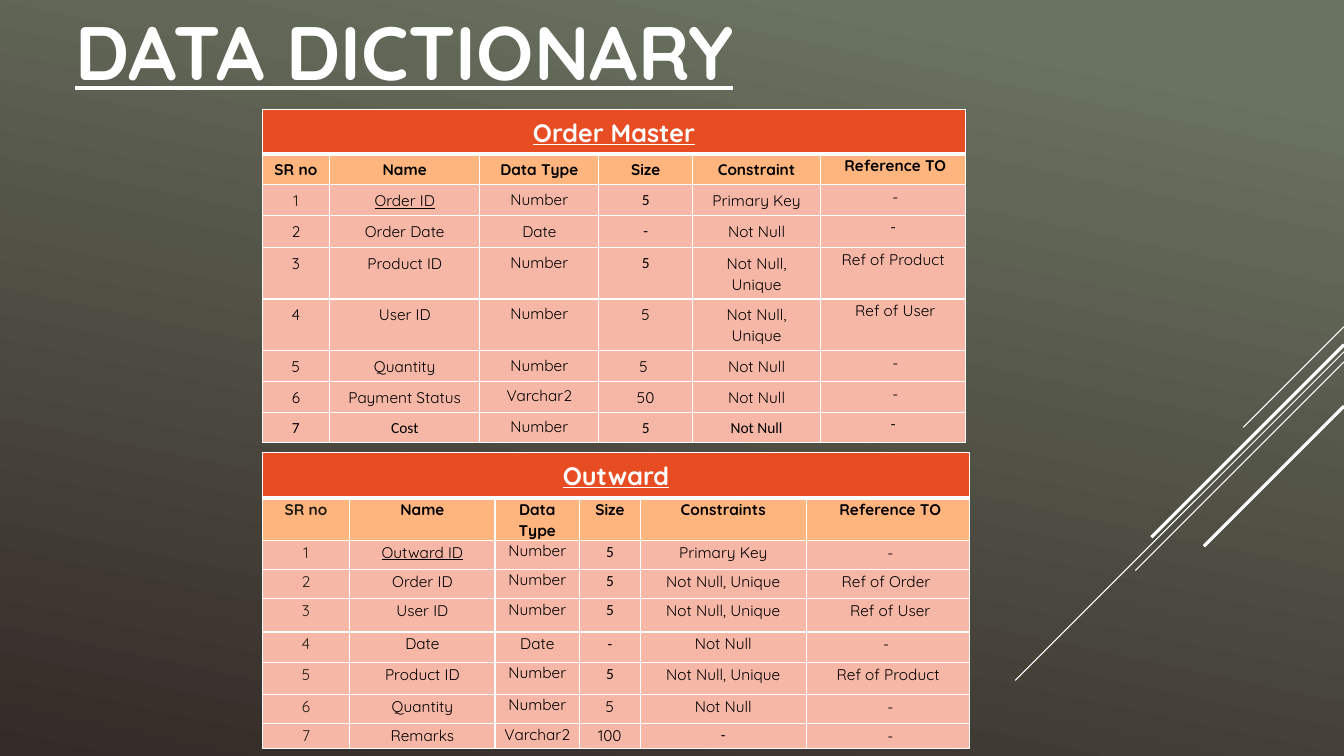
from dataclasses import dataclass

from lxml.etree import SubElement
from pptx import Presentation
from pptx.dml.color import RGBColor as RGB
from pptx.enum.shapes import MSO_CONNECTOR as CONN
from pptx.enum.text import MSO_ANCHOR as ANCHOR, PP_ALIGN as ALIGN
from pptx.oxml.ns import qn
from pptx.util import Inches, Pt


@dataclass(frozen=True)
class Theme:
    white: str = "FFFFFF"
    black: str = "000000"
    dark: str = "1E1C11"
    banner: str = "E84C22"
    header: str = "FFB57D"
    body: str = "F6B7A7"
    bg_top: str = "6A7260"
    bg_bottom: str = "342A27"
    font: str = "Quicksand"
    alt_font: str = "Calibri"
    title_size: int = 54
    banner_size: int = 18
    cell_size: int = 11


T = Theme()
SINGLE_SPACED = ("Number", "Varchar2")

# Cell marks: "_" underlines, "*" uses the alternate font, "~" is a no-break space
ORDER_MASTER = dict(
    name="Order Master",
    cols=[0.67, 1.49, 1.18, 0.93, 1.27, 1.44],
    heights=[0.39, 0.27, 0.27, 0.32, 0.46, 0.47, 0.27, 0.3, 0.3],
    banner_inset=(0.09, 0.05, 0.09, 0.05),
    inset=(0.1, 0.05, 0.1, 0.05),
    last_inset=(0.01, 0.01, 0.01, 0),
    dark_rows=[2],
    rows="""SR no|Name|Data Type|Size|Constraint|~Reference TO
1|_Order ID|Number|*5|Primary Key|~-
2|Order Date|Date|*-|Not Null|*-
3|Product ID|Number|*5|Not Null, Unique|Ref of Product
4|User ID|Number|5|Not Null, Unique|~Ref of User
5|Quantity|Number|5~|Not Null|~-
6|Payment Status|Varchar2|50|Not Null|~-
*7|*Cost|Number|*5|*Not Null|*-""",
)
OUTWARD = dict(
    name="Outward",
    cols=[0.87, 1.44, 0.84, 0.6, 1.65, 1.62],
    heights=[0.45, 0.32, 0.29, 0.29, 0.33, 0.3, 0.32, 0.29, 0.25],
    banner_inset=(0.07, 0.05, 0.07, 0.05),
    inset=(0.07, 0.01, 0.07, 0),
    last_inset=(0.07, 0.01, 0.07, 0),
    dark_rows=range(1, 9),
    rows="""SR no|Name|Data Type|Size|Constraints|~Reference TO
1|_Outward ID|Number|*5|Primary Key|~-
2|Order ID|Number|*5|Not Null, Unique|Ref of Order~
3|User ID|Number|*5|Not Null, Unique|~Ref of User
4|Date|Date|*-|Not Null|-~
5|Product ID|Number|*5|Not Null, Unique|Ref of Product
6|Quantity|Number|5|Not Null|~-
7|Remarks|Varchar2|100|*-|~-""",
)


def apply(obj, values):
    for key, value in values.items():
        setattr(obj, key, value)


def write(p, text, color, **font):
    p.alignment = ALIGN.CENTER
    r = p.add_run()
    r.text = text
    apply(r.font, font)
    r.font.color.rgb = RGB.from_string(color)


def border(cell, top, bottom):
    tc_pr = cell._tc.get_or_add_tcPr()
    for side, width in (("L", 1), ("R", 1), ("T", top), ("B", bottom)):
        ln = SubElement(tc_pr, qn(f"a:ln{side}"), w=str(Pt(width)))
        fill = SubElement(ln, qn("a:solidFill"))
        SubElement(fill, qn("a:srgbClr"), val=T.white)


def paint_background(s):
    fill = s.background.fill
    fill.gradient()
    fill.gradient_angle = 258
    stops = ((0.1, T.bg_top), (1, T.bg_bottom))
    for stop, (position, color) in zip(fill.gradient_stops, stops):
        stop.position = position
        stop.color.rgb = RGB.from_string(color)


def add_title(s, x, y, w, h):
    sp = s.shapes.title
    apply(sp, dict(left=Inches(x), top=Inches(y), width=Inches(w), height=Inches(h)))
    tf = sp.text_frame
    apply(tf, dict(word_wrap=True, vertical_anchor=ANCHOR.MIDDLE))
    write(tf.paragraphs[0], "DATA DICTIONARY", T.white, name=T.font,
          size=Pt(T.title_size), bold=True, underline=True)


def add_diagonals(s, right, top):
    # Drop below the top, run at 45 degrees, line width
    for drop, run, width in ((0, 1, 0.75), (0.25, 3.26, 0.75), (0.35, 2.07, 0.75),
                             (0.18, 1.91, 2.25), (0.79, 1.39, 2.25)):
        y = top + drop
        line = s.shapes.add_connector(CONN.STRAIGHT, Inches(right), Inches(y),
                                      Inches(right - run), Inches(y + run))
        line.line.color.rgb = RGB.from_string(T.white)
        line.line.width = Pt(width)
        SubElement(line._element.spPr, qn("a:effectLst"))


def fill_cell(cell, text, row, inset, dark):
    margins = ("margin_left", "margin_top", "margin_right", "margin_bottom")
    apply(cell, dict(zip(margins, map(Inches, inset))))
    border(cell, top=3 if row == 1 else 1, bottom=3 if row == 0 else 1)
    cell.fill.solid()
    cell.fill.fore_color.rgb = RGB.from_string(
        {0: T.banner, 1: T.header}.get(row, T.body))
    if not text:
        return
    p = cell.text_frame.paragraphs[0]
    if text not in SINGLE_SPACED:
        apply(p, dict(line_spacing=1.07, space_after=Pt(8)))
    color = T.white if row == 0 else T.dark if dark else T.black
    write(p, text.lstrip("_*").replace("~", chr(160)), color,
          name=T.alt_font if text.startswith("*") else T.font,
          size=Pt(T.cell_size if row else T.banner_size),
          bold=row < 2, underline=text.startswith("_"))


def add_dictionary(s, x, y, data):
    cols, heights = data["cols"], data["heights"]
    table = s.shapes.add_table(len(heights), len(cols), Inches(x), Inches(y),
                               Inches(sum(cols)), Inches(sum(heights))).table
    apply(table, dict(first_row=False, horz_banding=False))
    for col, width in zip(table.columns, cols):
        col.width = Inches(width)
    for row, height in zip(table.rows, heights):
        row.height = Inches(height)

    # Banner across all columns, then header and body rows
    table.cell(0, 0).merge(table.cell(0, len(cols) - 1))
    banner = ["_" + data["name"]] + [""] * (len(cols) - 1)
    body = [line.split("|") for line in data["rows"].splitlines()]
    for i, texts in enumerate([banner] + body):
        for j, text in enumerate(texts):
            last = j == len(cols) - 1
            inset = data["banner_inset" if i == 0 else
                         "last_inset" if last else "inset"]
            fill_cell(table.cell(i, j), text, i, inset,
                      dark=j == 0 and i in data["dark_rows"])


def main():
    prs = Presentation()
    apply(prs, dict(slide_width=Inches(13.33), slide_height=Inches(7.5)))
    s = prs.slides.add_slide(prs.slide_layouts[5])
    paint_background(s)
    add_diagonals(s, 13.33, 3.24)
    add_title(s, -0.69, -0.01, 9.4, 1.01)
    add_dictionary(s, 2.6, 1.09, ORDER_MASTER)
    add_dictionary(s, 2.6, 4.49, OUTWARD)
    prs.save("out.pptx")


if __name__ == "__main__":
    main()
